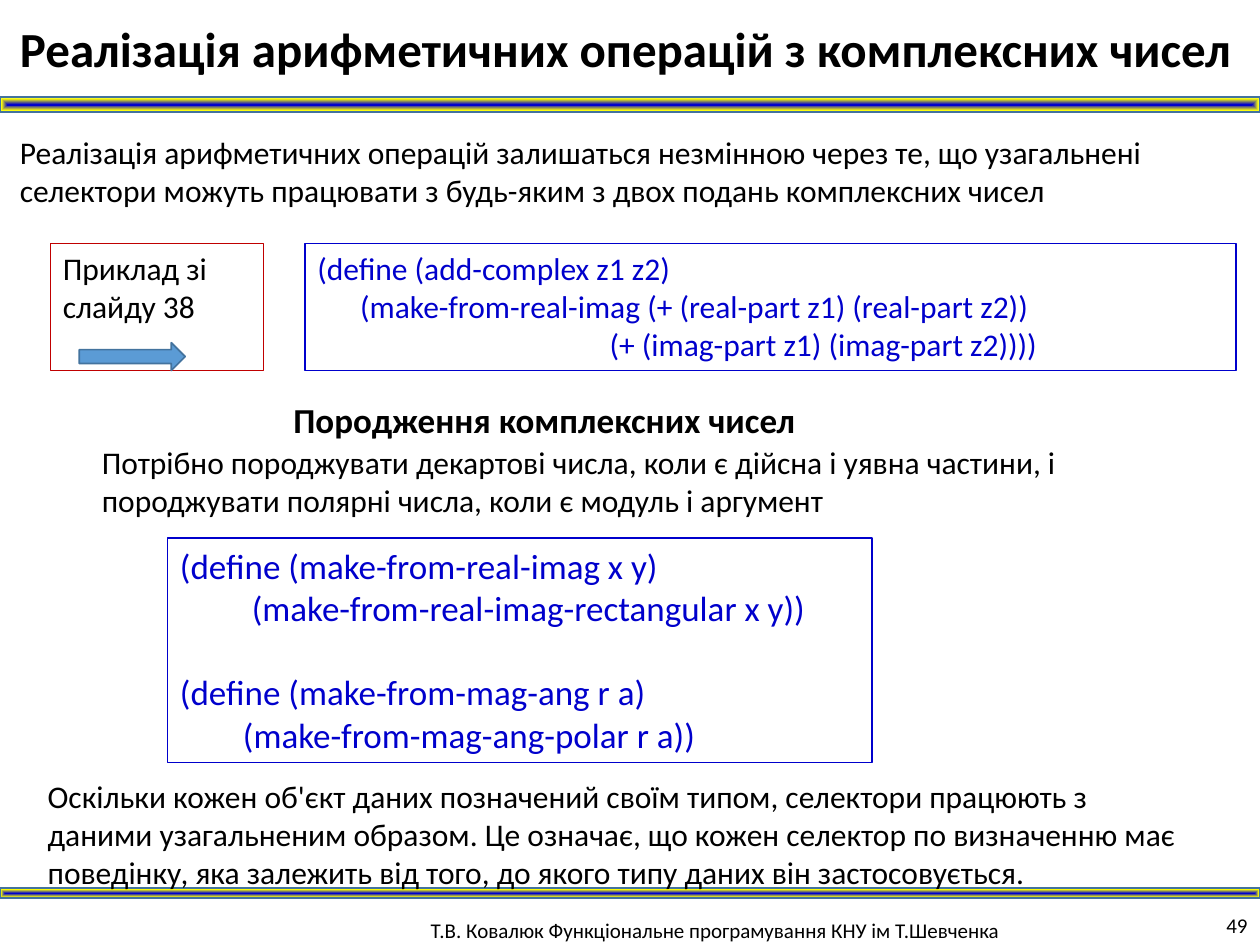
"""Build the slide on arithmetic operations and constructors of complex numbers."""
from pptx import Presentation
from pptx import util as u
from pptx.dml.color import RGBColor
from pptx.enum import shapes, text
from pptx.oxml import parse_xml
from pptx.oxml.ns import nsdecls

FONT = "Calibri"
COLORS = {
    "black": "000000", "code": "0000CC", "note": "C00000", "arrow": "5B9BD5",
    "outline": "43739E", "yellow": "FFFF00", "pale": "CEE1F2",
}
BAND_STOPS = [(0, "code"), (77, "yellow"), (100, "pale")]
BANDS = [(0, 0.77, 10, 0.12), (0, 7.05, 10, 0.08)]

TITLE = "Реалізація арифметичних операцій з комплексних чисел"
INTRO = ("Реалізація арифметичних операцій залишаться незмінною через те, що узагальнені "
         "селектори можуть працювати з будь-яким з двох подань комплексних чисел")
CONCLUSION = ("Оскільки кожен об'єкт даних позначений своїм типом, селектори працюють з даними "
              "узагальненим образом. Це означає, що кожен селектор по визначенню має поведінку, "
              "яка залежить від того, до якого типу даних він застосовується.")
CONSTRUCTION = ["Потрібно породжувати декартові числа, коли є дійсна і уявна частини, і",
                "породжувати полярні числа, коли є модуль і аргумент"]
ADD_CODE = ["(define (add-complex z1 z2)",
            "(make-from-real-imag (+ (real-part z1) (real-part z2))",
            "(+ (imag-part z1) (imag-part z2))))"]
MAKE_CODE = ["(define (make-from-real-imag x y)",
             "(make-from-real-imag-rectangular x y))",
             "(define (make-from-mag-ang r a)",
             "(make-from-mag-ang-polar r a))"]
FOOTER = "Т.В. Ковалюк Функціональне програмування КНУ ім Т.Шевченка"

TEXTS = [
    (FOOTER, (3.32, 7.23, 6, 0.32), dict(size=12)),
    ("49", (9.31, 7.18, 0.69, 0.32),
     dict(size=12, align=text.PP_ALIGN.RIGHT, anchor=text.MSO_ANCHOR.MIDDLE)),
    (TITLE, (0.06, 0.1, 9.93, 0.57), dict(size=28, bold=True, wrap=False)),
    (ADD_CODE, (2.42, 1.93, 7.39, 1.01),
     dict(color="code", border="code", indents=(0, 0.34, 2.32))),
    (MAKE_CODE, (1.33, 4.27, 5.59, 1.78),
     dict(size=20, color="code", border="code", indents=(0, 0.57, 0, 0.5), gaps={2: 24.4})),
    ("Породження комплексних чисел", (2.23, 3.11, 4.21, 0.44),
     dict(size=20, bold=True, wrap=False)),
    (CONCLUSION, (0.28, 6.12, 9.25, 1.01), {}),
    (INTRO, (0.06, 1.01, 9.94, 0.71), {}),
    ("Приклад зі слайду 38", (0.4, 1.93, 1.69, 1.01), dict(border="note")),
    (CONSTRUCTION, (0.71, 3.47, 7.99, 0.71), {}),
]
ARROW = (0.63, 2.72, 0.84, 0.22)


def rgb(name):
    return RGBColor.from_string(COLORS[name])


def add_text(slide, content, box, size=18, color="black", bold=False, wrap=True, border=None,
             align=text.PP_ALIGN.LEFT, anchor=text.MSO_ANCHOR.TOP, indents=(), gaps=None):
    shape = slide.shapes.add_textbox(*map(u.Inches, box))
    if border:
        shape.line.color.rgb = rgb(border)
        shape.line.width = u.Pt(0.75)
    frame = shape.text_frame
    frame.word_wrap = wrap
    frame.vertical_anchor = anchor
    lines = [content] if isinstance(content, str) else content
    for index, line in enumerate(lines):
        paragraph = frame.paragraphs[0] if index == 0 else frame.add_paragraph()
        paragraph.alignment = align
        if indents:
            paragraph._p.get_or_add_pPr().set("marL", str(u.Inches(indents[index])))
        if gaps and index in gaps:
            paragraph.space_before = u.Pt(gaps[index])
        run = paragraph.add_run()
        run.text = line
        run.font.name = FONT
        run.font.size = u.Pt(size)
        run.font.bold = bold
        run.font.color.rgb = rgb(color)


def add_outlined(slide, kind, box):
    shape = slide.shapes.add_shape(kind, *map(u.Inches, box))
    shape.shadow.inherit = False
    shape.line.color.rgb = rgb("outline")
    shape.line.width = u.Pt(1)
    return shape


def add_band(slide, box):
    shape = add_outlined(slide, shapes.MSO_SHAPE.RECTANGLE, box)
    stops = "".join(f'<a:gs pos="{position * 1000}"><a:srgbClr val="{COLORS[name]}"/></a:gs>'
                    for position, name in BAND_STOPS)
    gradient = parse_xml(
        f'<a:gradFill {nsdecls("a")} rotWithShape="1"><a:gsLst>{stops}</a:gsLst>'
        '<a:path path="shape"><a:fillToRect l="50000" t="50000" r="50000" b="50000"/></a:path>'
        '</a:gradFill>')
    shape._element.spPr.insert(2, gradient)


def main():
    presentation = Presentation()
    presentation.slide_width, presentation.slide_height = u.Inches(10), u.Inches(7.5)
    slide = presentation.slides.add_slide(presentation.slide_layouts[6])
    for box in BANDS:
        add_band(slide, box)
    for content, box, style in TEXTS:
        add_text(slide, content, box, **style)
    arrow = add_outlined(slide, shapes.MSO_SHAPE.RIGHT_ARROW, ARROW)
    arrow.fill.solid()
    arrow.fill.fore_color.rgb = rgb("arrow")
    presentation.save("out.pptx")


if __name__ == "__main__":
    main()
